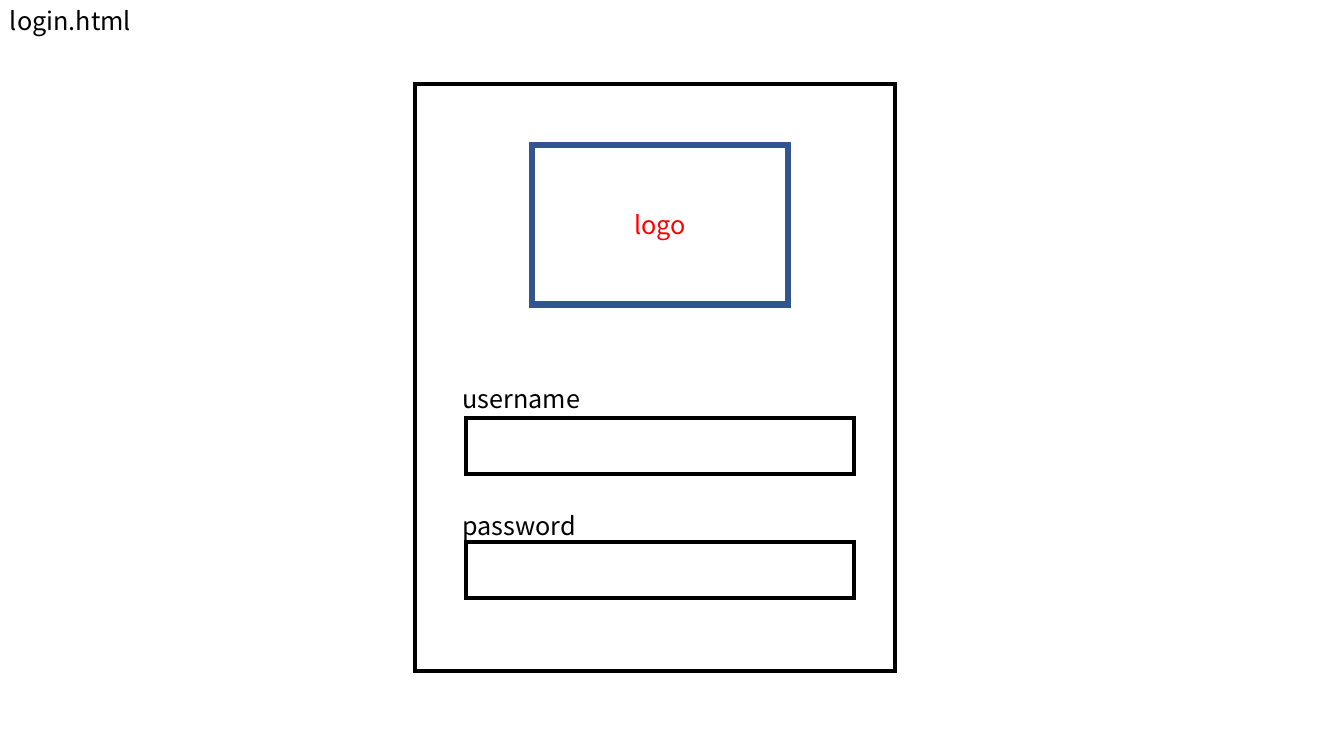
from lxml.etree import SubElement
from pptx import Presentation
from pptx.dml.color import RGBColor
from pptx.enum.shapes import MSO_SHAPE
from pptx.enum.text import MSO_ANCHOR, MSO_AUTO_SIZE, PP_ALIGN
from pptx.oxml.ns import qn
from pptx.util import Pt

PAGE_NAME = "login.html"
LOGO_TEXT = "logo"
# Field name, top of its label, top of its input box
FIELDS = [("username", 270, 298.8), ("password", 360.7, 387.4)]

SLIDE_SIZE = (960, 540)
CARD = (296.6, 59.8, 342.7, 419.8)
LOGO = (380.2, 103.7, 182.9, 113.8)
LABEL_LEFT, LABEL_WIDTH, LABEL_HEIGHT = 323.3, 128.2, 28.8
INPUT_LEFT, INPUT_WIDTH, INPUT_HEIGHT = 332.6, 277.2, 39.6
PAGE_NAME_WIDTH = 144.7

BLACK, WHITE, RED, BLUE = "000000", "FFFFFF", "FF0000", "325491"
FONT = {"name": "Noto Sans CJK JP", "size": Pt(18)}
LABEL_FRAME = {"word_wrap": True, "auto_size": MSO_AUTO_SIZE.SHAPE_TO_FIT_TEXT}
LOGO_FRAME = {"word_wrap": True, "vertical_anchor": MSO_ANCHOR.MIDDLE}


def rgb(color):
    return RGBColor.from_string(color)


def apply(target, values):
    for key, value in values.items():
        setattr(target, key, value)


def write(frame, text, color, frame_format, align=PP_ALIGN.LEFT):
    apply(frame, frame_format)
    paragraph = frame.paragraphs[0]
    paragraph.alignment = align
    run = paragraph.add_run()
    run.text = text
    apply(run.font, FONT)
    run.font.color.rgb = rgb(color)


def add_label(slide, text, left, top, width):
    label = slide.shapes.add_textbox(*map(Pt, (left, top, width, LABEL_HEIGHT)))
    write(label.text_frame, text, BLACK, LABEL_FRAME)


def add_box(slide, bounds, color=BLACK, weight=3):
    """Add a white rectangle with a sharp-cornered outline."""
    box = slide.shapes.add_shape(MSO_SHAPE.RECTANGLE, *map(Pt, bounds))
    box.shadow.inherit = False
    box.fill.solid()
    box.fill.fore_color.rgb = rgb(WHITE)
    box.line.color.rgb = rgb(color)
    box.line.width = Pt(weight)
    outline = box.element.spPr.find(qn("a:ln"))
    SubElement(outline, qn("a:miter"), lim="800000")
    return box


def main():
    deck = Presentation()
    deck.slide_width, deck.slide_height = map(Pt, SLIDE_SIZE)
    slide = deck.slides.add_slide(deck.slide_layouts[6])

    add_label(slide, PAGE_NAME, 0, 0, PAGE_NAME_WIDTH)
    add_box(slide, CARD)
    for name, label_top, input_top in FIELDS:
        add_label(slide, name, LABEL_LEFT, label_top, LABEL_WIDTH)
        add_box(slide, (INPUT_LEFT, input_top, INPUT_WIDTH, INPUT_HEIGHT))
    logo = add_box(slide, LOGO, BLUE, 4.5)
    write(logo.text_frame, LOGO_TEXT, RED, LOGO_FRAME, PP_ALIGN.CENTER)

    deck.save("out.pptx")


if __name__ == "__main__":
    main()
